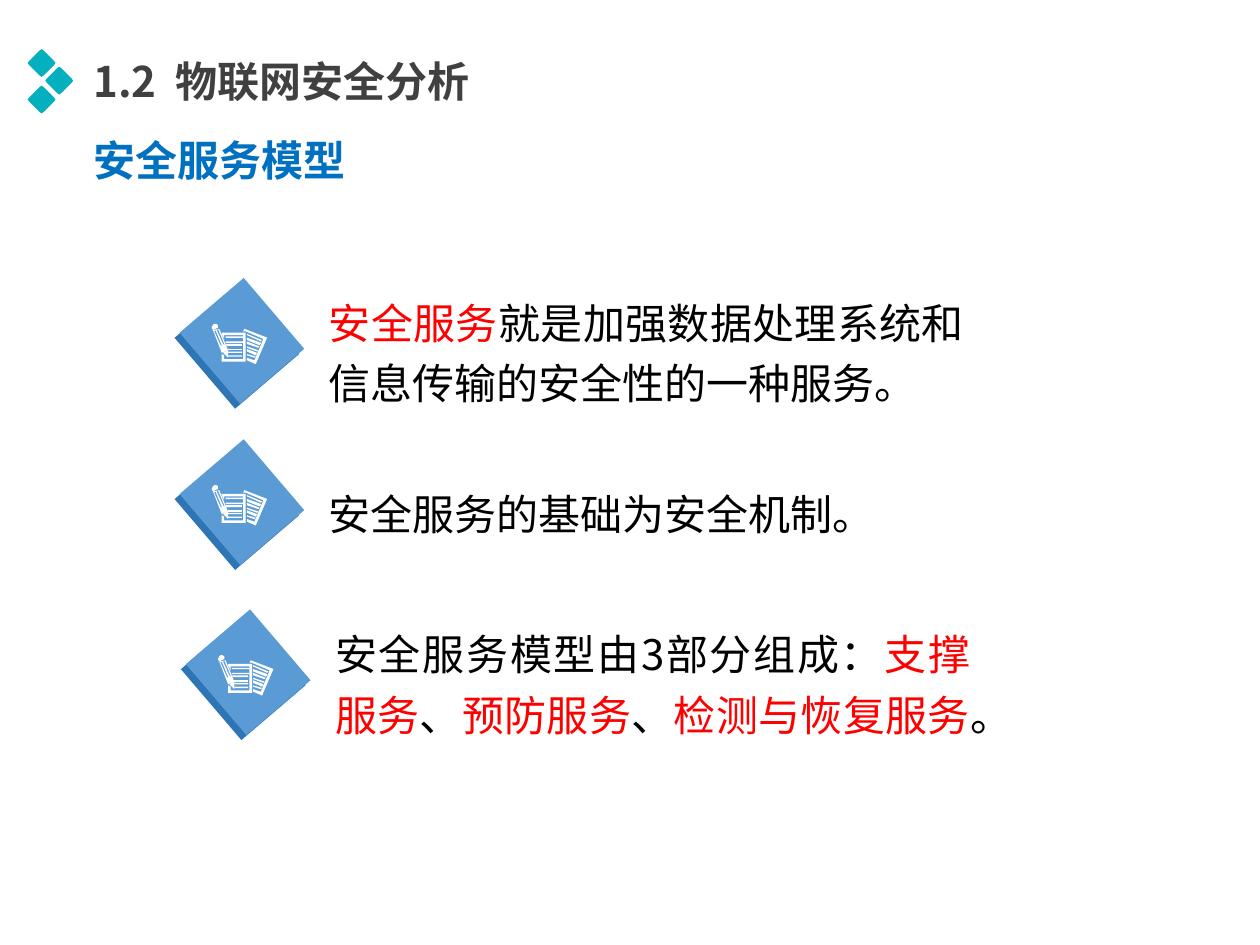
"""Build the slide on the security service model: heading, subheading and three marked points."""
from pptx import Presentation, util as u
from pptx.dml.color import RGBColor
from pptx.enum import shapes as s, text as t
from pptx.oxml.ns import qn
from lxml import etree

COLOURS = {"teal": "04B0BE", "grey": "404040", "heading": "0070C0", "red": "FF0000",
           "black": "000000", "dark": "2E75B6", "light": "5B9BD5", "white": "FFFFFF"}
FONT = "Noto Sans CJK SC"

HEADINGS = [
    ((0.67, 1.03, 2.56, 0.48), [("安全服务模型", "heading", 0)]),
    ((0.67, 0.4, 3.45, 0.48), [("1.2", "grey", 0), (" ", "grey", 540),
                               ("物联网安全分析", "grey", 0)]),
]
POINTS = [
    (2.55, 2.32, [("安全服务", "red", 0),
                  ("就是加强数据处理系统和信息传输的安全性的一种服务。", "black", 0)]),
    (2.55, 3.6, [("安全服务的基础为安全机制。", "black", 0)]),
    (2.6, 4.95, [("安全服务模型由3部分组成：", "black", 0), ("支撑服务", "red", 0),
                 ("、", "black", 0), ("预防服务", "red", 0), ("、", "black", 0),
                 ("检测与恢复服务", "red", 0), ("。", "black", 0)]),
]
TILE_CENTRES = [(0.33, 0.5), (0.47, 0.64), (0.33, 0.79)]
TILE_CORNER = [(-10, 1.5), (-11, 0), (-10, -1.5)]

DIAMONDS = [(-1.04, 0.09, "dark"), (-1, 0.05, "light")]
ICON_OFFSET = (-0.87, 0.25)
RULES = [(11, 10, 14), (11, 14, 14), (13, 22, 11), (13, 25, 11)]
RULE_HEIGHT = 1.2
ICON_OUTLINES = [
    [[(8, 8), (10, 12), (10, 9), (25, 9), (25, 28), (10, 28), (10, 25), (8, 24),
      (8, 30), (27, 30), (27, 7), (8, 7)]],
    [[(11, 16), (12, 17.5), (24, 17.5), (24, 16)]],
    [[(13, 21), (24, 21), (24, 20), (13, 20)]],
    [[(13, 27), (13, 21), (9, 23)]],
    [[(5, 1), (3.5, 0), (2, 0), (1, 1), (0, 3), (1, 5), (5, 3)]],
    [[(28, 13), (38, 17), (39, 16), (39, 15), (28, 11)]],
    [[(28, 16), (37, 19), (38, 18), (28, 14)]],
    [[(39, 14), (40, 13), (28, 8), (28, 9)]],
    [[(28, 19), (36, 22), (37, 21), (28, 18)]],
    [[(28, 25), (34, 27), (35, 26), (28, 24)]],
    [[(36, 23), (28, 20), (28, 22), (35, 25)]],
    [[(44, 11), (26, 4), (25, 6), (27, 6), (41, 12), (34, 29), (28, 27), (28, 29), (35, 32)]],
    [[(13, 21), (6, 4), (1, 5), (8, 23)],
     [(5, 4), (10, 16), (10, 17), (9, 16), (4, 5)],
     [(8, 18), (7, 17), (2, 6), (3, 5), (8, 17)]],
]


def paint(part, colour):
    part.shadow.inherit = False
    part.fill.solid()
    part.fill.fore_color.rgb = RGBColor.from_string(COLOURS[colour])
    part.line.fill.background()


def add_rect(parent, box, colour, rotation=0):
    rect = parent.add_shape(s.MSO_SHAPE.RECTANGLE, *map(u.Inches, box))
    rect.rotation = rotation
    paint(rect, colour)


def add_outline(parent, rings, left, top, colour):
    placed = [[(left * 1000 + x * 10, top * 1000 + y * 10) for x, y in ring] for ring in rings]
    pen = parent.build_freeform(*placed[0][0], scale=u.Inches(1) / 1000)
    for index, ring in enumerate(placed):
        if index:
            pen.move_to(*ring[0])
        pen.add_line_segments(ring[1:], close=True)
    paint(pen.convert_to_shape(), colour)


def add_text(parent, box, runs, frame_format, paragraph_format, bold):
    frame = parent.add_textbox(*map(u.Inches, box)).text_frame
    paragraph = frame.paragraphs[0]
    for target, values in ((frame, frame_format), (paragraph, paragraph_format)):
        for name, value in values.items():
            setattr(target, name, value)
    for words, colour, spacing in runs:
        run = paragraph.add_run()
        run.text = words
        for name, value in {"size": u.Pt(24), "bold": bold, "name": FONT}.items():
            setattr(run.font, name, value)
        run.font.color.rgb = RGBColor.from_string(COLOURS[colour])
        properties = run._r.get_or_add_rPr()
        etree.SubElement(properties, qn("a:ea"), typeface=FONT)
        if spacing:
            properties.set("spc", str(spacing))


def add_icon(parent, left, top):
    icon = parent.add_group_shape().shapes
    for dx, dy, colour in DIAMONDS:
        add_rect(icon, (left + dx, top + dy, 0.74, 0.67), colour, 49.5)
    x0, y0 = left + ICON_OFFSET[0], top + ICON_OFFSET[1]
    for x, y, width in RULES:
        add_rect(icon, (x0 + x / 100, y0 + y / 100, width / 100, RULE_HEIGHT / 100), "white")
    for rings in ICON_OUTLINES:
        add_outline(icon, rings, x0, y0, "white")


def main():
    deck = Presentation()
    deck.slide_width, deck.slide_height = u.Inches(10), u.Inches(7.5)
    parts = deck.slides.add_slide(deck.slide_layouts[6]).shapes

    heading_frame = {"word_wrap": True, "auto_size": t.MSO_AUTO_SIZE.SHAPE_TO_FIT_TEXT,
                     "margin_left": u.Inches(0.07), "margin_right": u.Inches(0.07),
                     "margin_top": u.Inches(0.04), "margin_bottom": u.Inches(0.04)}
    point_frame = {"word_wrap": True, "vertical_anchor": t.MSO_ANCHOR.MIDDLE,
                   "margin_left": u.Inches(0.06), "margin_right": u.Inches(0.18),
                   "margin_top": 0, "margin_bottom": 0}
    point_paragraph = {"alignment": t.PP_ALIGN.JUSTIFY, "line_spacing": 1.2}

    for box, runs in HEADINGS:
        add_text(parts, box, runs, heading_frame, {}, True)

    tile, corner = [], TILE_CORNER
    for _ in range(4):
        tile += corner
        corner = [(-y, x) for x, y in corner]
    for left, top in TILE_CENTRES:
        add_outline(parts, [tile], left, top, "teal")

    for left, top, runs in POINTS:
        add_text(parts, (left, top, 5.28, 0.88), runs, point_frame, point_paragraph, False)
        add_icon(parts, left, top)

    deck.save("out.pptx")


if __name__ == "__main__":
    main()
